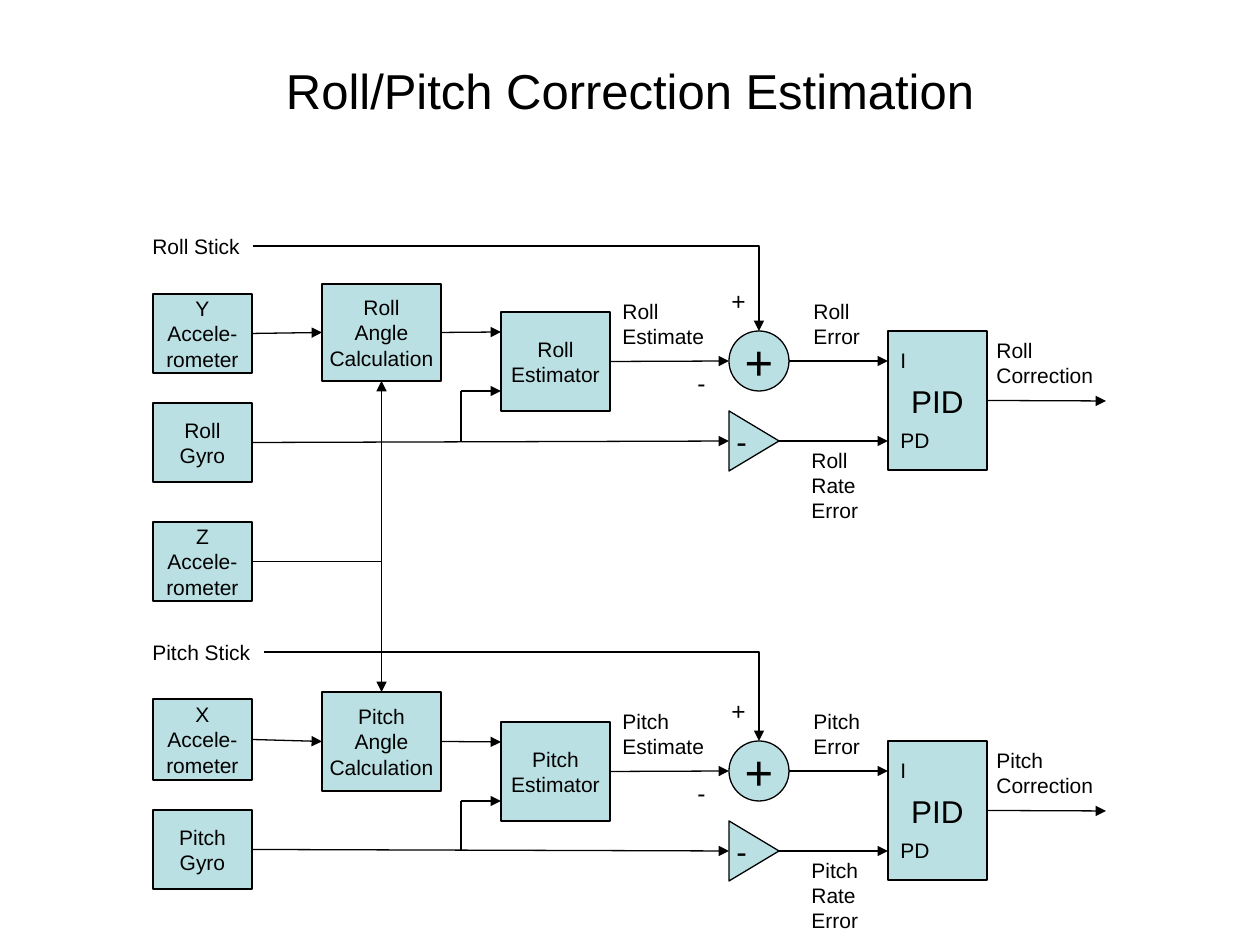
from dataclasses import dataclass
from lxml.etree import SubElement
from pptx import Presentation
from pptx.dml.color import RGBColor
from pptx.enum.shapes import MSO_CONNECTOR, MSO_SHAPE
from pptx.enum.text import MSO_ANCHOR, MSO_AUTO_SIZE, PP_ALIGN
from pptx.oxml.ns import qn
from pptx.util import Pt

PX = 914400 / 126  # EMU in one px


@dataclass(frozen=True)
class Theme:
    font: str = "Arial"
    ink: RGBColor = RGBColor(0, 0, 0)
    fill: RGBColor = RGBColor(0xBB, 0xE0, 0xE3)
    line: Pt = Pt(0.75)
    title: int = 28
    sum: int = 28
    block: int = 18
    sign: int = 14
    body: int = 12


T = Theme()


def write(tf, paras, size=T.body, align=PP_ALIGN.LEFT, anchor=MSO_ANCHOR.TOP, wrap=False):
    """Fill a text frame; a newline inside a paragraph is a line break."""
    tf.word_wrap = wrap
    tf.vertical_anchor = anchor
    for i, text in enumerate(paras):
        p = tf.add_paragraph() if i else tf.paragraphs[0]
        p.text = text
        p.alignment = align
        for r in p.runs:
            r.font.name, r.font.size = T.font, Pt(size)
            r.font.color.rgb = T.ink


def connect(x1, y1, x2, y2, start=None, end=None, bent=False, arrow=True):
    """Draw a line; start and end are (box, side) pairs to join."""
    kind = MSO_CONNECTOR.ELBOW if bent else MSO_CONNECTOR.STRAIGHT
    c = s.shapes.add_connector(kind, *(round(v * PX) for v in (x1, y1, x2, y2)))
    if start:
        c.begin_connect(*start)
    if end:
        c.end_connect(*end)
    c.line.color.rgb, c.line.width = T.ink, T.line
    spPr = c._element.spPr
    if bent:
        spPr.find(qn("a:prstGeom")).set("prst", "bentConnector2")
    if arrow:
        SubElement(spPr.find(qn("a:ln")), qn("a:tailEnd"), type="triangle")
    SubElement(spPr, qn("a:effectLst"))


prs = Presentation()
prs.slide_width, prs.slide_height = round(1260 * PX), round(945 * PX)
s = prs.slides.add_slide(prs.slide_layouts[5])

# Title, raised by a deep bottom margin
title = s.shapes.title
title.left, title.top, title.width, title.height = (
    round(v * PX) for v in (63, 38, 1134, 157))
write(title.text_frame, ["Roll/Pitch Correction Estimation"], size=T.title,
      align=PP_ALIGN.CENTER, anchor=MSO_ANCHOR.MIDDLE, wrap=True)
title.text_frame.margin_bottom = round(60 * PX)

# Channels: name, accelerometer axis, offset down, then tops and heights
channels = [
    dict(name="Roll", axis="Y", dy=0, calc=(284, 97), accel=(294, 79),
         gyro=403, stick=(227, 113)),
    dict(name="Pitch", axis="X", dy=410, calc=(692, 99), accel=(699, 81),
         gyro=810, stick=(633, 124)),
]

# Blocks: key, preset, box, text size, paragraphs
RECT = MSO_SHAPE.RECTANGLE
blocks = [("Z", RECT, (153, 522, 99, 79), T.body, ["Z\nAccele-\nrometer"])]
labels = []
for ch in channels:
    name, dy = ch["name"], ch["dy"]
    calc_top, calc_h = ch["calc"]
    accel_top, accel_h = ch["accel"]
    stick_top, stick_w = ch["stick"]
    blocks += [
        (name + "estimator", RECT, (501, 312 + dy, 109, 99), T.body, [name, "Estimator"]),
        (name + "pid", RECT, (888, 331 + dy, 99, 139), T.block, ["PID"]),
        (name + "sum", MSO_SHAPE.OVAL, (729, 331 + dy, 60, 60), T.sum, ["+"]),
        (name + "calc", RECT, (322, calc_top, 119, calc_h), T.body,
         [name, "Angle", "Calculation"]),
        (name + "accel", RECT, (153, accel_top, 99, accel_h), T.body,
         [ch["axis"] + "\nAccele-\nrometer"]),
        (name + "gyro", RECT, (153, ch["gyro"], 99, 79), T.body, [name + "\nGyro"]),
        (name + "negate", MSO_SHAPE.ISOSCELES_TRIANGLE, (724, 416 + dy, 60, 50),
         T.block, ["-"]),
    ]
    labels += [
        ((719, 280 + dy, 39, 43), T.sign, ["+"]),
        ((685, 362 + dy, 33, 43), T.sign, ["-"]),
        ((610, 292 + dy, 107, 63), T.body, [name, "Estimate"]),
        ((801, 292 + dy, 72, 63), T.body, [name, "Error"]),
        ((888, 341 + dy, 30, 38), T.body, ["I"]),
        ((888, 421 + dy, 54, 38), T.body, ["PD"]),
        ((984, 331 + dy, 122, 63), T.body, [name, "Correction"]),
        ((799, 441 + dy, 72, 88), T.body, [name, "Rate", "Error"]),
        ((140, stick_top, stick_w, 38), T.body, [name + " Stick"]),
    ]

box = {}
for key, preset, place, size, paras in blocks:
    sp = s.shapes.add_shape(preset, *(round(v * PX) for v in place))
    sp.shadow.inherit = False
    sp.fill.solid()
    sp.fill.fore_color.rgb = T.fill
    sp.line.color.rgb, sp.line.width = T.ink, T.line
    write(sp.text_frame, paras, size=size, align=PP_ALIGN.CENTER,
          anchor=MSO_ANCHOR.MIDDLE)
    if preset == MSO_SHAPE.ISOSCELES_TRIANGLE:
        # Point right and keep the sign upright
        sp.rotation = 90
        sp.text_frame._txBody.bodyPr.set("vert", "vert270")
    box[key] = sp

# Signal labels
for place, size, paras in labels:
    tb = s.shapes.add_textbox(*(round(v * PX) for v in place))
    write(tb.text_frame, paras, size=size)
    tb.text_frame.auto_size = MSO_AUTO_SIZE.SHAPE_TO_FIT_TEXT

# Signal lines of each channel
for ch in channels:
    name, dy = ch["name"], ch["dy"]
    stick_top, stick_w = ch["stick"]
    calc, accel, gyro, estimator, pid = (
        box[name + part] for part in ("calc", "accel", "gyro", "estimator", "pid"))
    connect(252, 333 + dy, 322, 332 + dy, start=(accel, 3), end=(calc, 1))
    connect(441, 332 + dy, 501, 332 + dy, start=(calc, 3))
    connect(252, 442 + dy, 729, 441 + dy, start=(gyro, 3))
    connect(461, 391 + dy, 461, 441 + dy, arrow=False)
    connect(461, 391 + dy, 501, 391 + dy)
    connect(610, 361 + dy, 729, 361 + dy, start=(estimator, 3))
    connect(789, 361 + dy, 888, 361 + dy)
    connect(779, 441 + dy, 888, 441 + dy)
    connect(987, 401 + dy, 1106, 401 + dy, start=(pid, 3))
    connect(140 + stick_w, stick_top + 19, 759, 331 + dy, bent=True)

# The Z accelerometer feeds both angle calculations
connect(252, 562, 382, 381, start=(box["Z"], 3), end=(box["Rollcalc"], 2), bent=True)
connect(252, 562, 382, 692, start=(box["Z"], 3), end=(box["Pitchcalc"], 0), bent=True)

prs.save("out.pptx")
